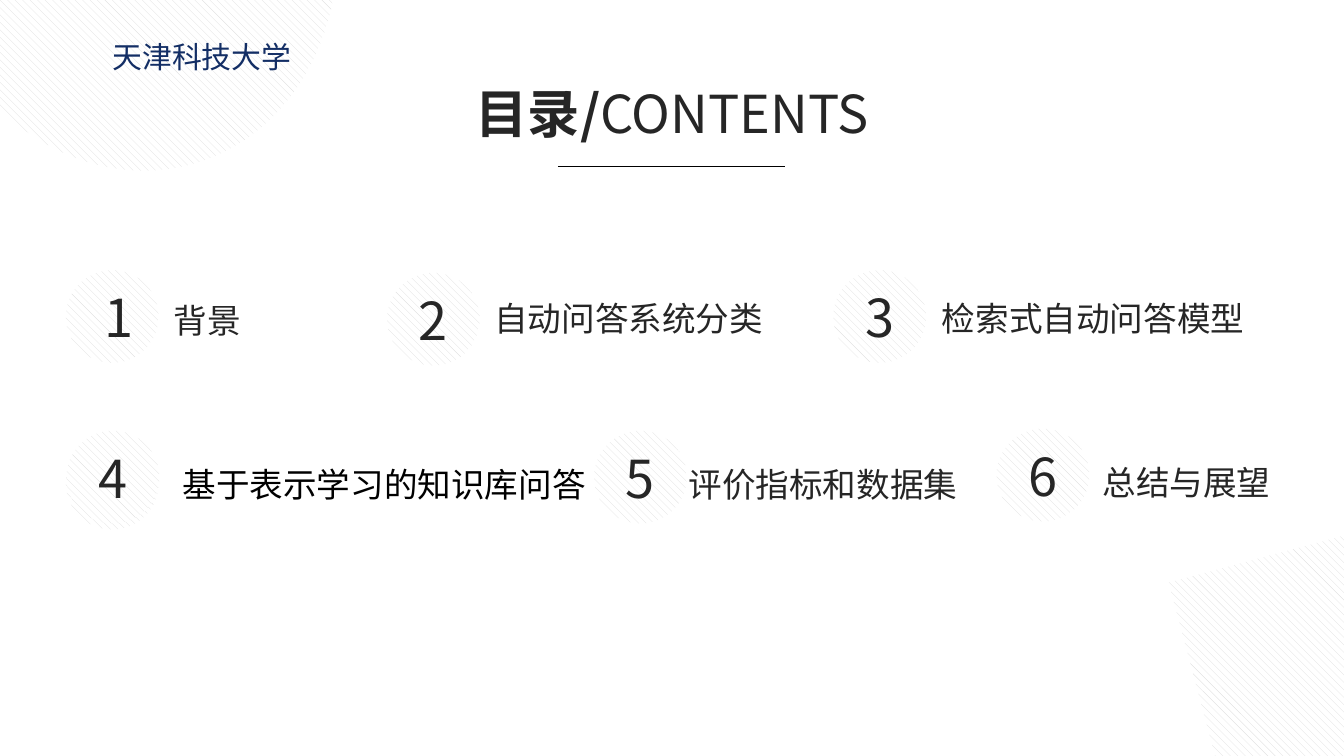
from dataclasses import dataclass

from lxml import etree
from pptx import Presentation
from pptx.dml.color import RGBColor
from pptx.enum.dml import MSO_PATTERN
from pptx.enum.shapes import MSO_CONNECTOR, MSO_SHAPE
from pptx.enum.text import MSO_AUTO_SIZE, PP_ALIGN
from pptx.oxml.ns import qn
from pptx.util import Pt

PX = 4572  # EMU per px, 200 px to the inch
OVAL = MSO_SHAPE.OVAL
WEDGE = MSO_SHAPE.RIGHT_TRIANGLE
HATCH = MSO_PATTERN.WIDE_DOWNWARD_DIAGONAL
LINE = MSO_CONNECTOR.STRAIGHT
LEFT, MID = PP_ALIGN.LEFT, PP_ALIGN.CENTER
GROW = MSO_AUTO_SIZE.SHAPE_TO_FIT_TEXT
DISC = 138


@dataclass(frozen=True)
class Theme:
    font: str = "Noto Sans CJK SC"
    plain: str = "Arial"
    ink: str = "262626"
    black: str = "000000"
    navy: str = "132E65"
    hatch: str = "DDDDDD"
    paper: str = "FFFFFF"
    big: int = 28
    body: int = 18
    small: int = 16


class Deck:
    def __init__(self, theme, wide, high):
        self.theme = theme
        self.prs = Presentation()
        self.prs.slide_width, self.prs.slide_height = wide * PX, high * PX
        self.slide = self.prs.slides.add_slide(self.prs.slide_layouts[6])

    def patch(self, kind, x, y, w, h, turn=0):
        """Hatched shape without an outline."""
        shape = self.slide.shapes.add_shape(kind, x * PX, y * PX, w * PX, h * PX)
        shape.shadow.inherit = False
        shape.rotation = turn
        shape.line.fill.background()
        shape.fill.patterned()
        shape.fill.pattern = HATCH
        shape.fill.fore_color.rgb = RGBColor.from_string(self.theme.hatch)
        shape.fill.back_color.rgb = RGBColor.from_string(self.theme.paper)

    def text(self, runs, x, y, w, h, size, color=None, font=None, align=LEFT, wrap=False):
        """Text box with one paragraph; runs are (words, bold) pairs."""
        box = self.slide.shapes.add_textbox(x * PX, y * PX, w * PX, h * PX)
        frame = box.text_frame
        frame.word_wrap = wrap
        frame.auto_size = GROW
        para = frame.paragraphs[0]
        para.alignment = align
        para.font.size = Pt(size)
        para.font.color.rgb = RGBColor.from_string(color or self.theme.ink)
        para.font.name = font or self.theme.font
        # East Asian letters take their own typeface
        base = para._p.pPr.find(qn("a:defRPr"))
        etree.SubElement(base, qn("a:ea")).set("typeface", self.theme.font)
        for words, bold in runs:
            run = para.add_run()
            run.text = words
            if bold:
                run.font.bold = True

    def rule(self, x, y, end, color, width):
        """Level line."""
        line = self.slide.shapes.add_connector(LINE, x * PX, y * PX, end * PX, y * PX)
        line.line.color.rgb = RGBColor.from_string(color)
        line.line.width = Pt(width)
        etree.SubElement(line._element.spPr, qn("a:effectLst"))

    def badge(self, num, x, y, inset):
        """Number on a hatched disc."""
        self.patch(OVAL, x, y, DISC, DISC)
        self.text([(num, False)], x + inset, y + 13, DISC - 2 * inset, 114,
                  self.theme.big, align=MID)

    def save(self):
        self.prs.save("out.pptx")


def main():
    theme = Theme()
    deck = Deck(theme, 2000, 1125)

    # Corner shapes
    deck.patch(WEDGE, 1772, 824, 714, 616, 75)
    deck.patch(OVAL, -166, -408, 714, 616, 75)

    # School name and title
    deck.text([("天津科技大学", False)], 148, 48, 316, 74, theme.small, theme.navy, wrap=True)
    deck.text([("目录/", True), ("CONTENTS", False)], 678, 111, 644, 114,
              theme.big, align=MID, wrap=True)
    deck.rule(830, 248, 1168, theme.black, 0.5)

    # Second disc under number 4
    deck.patch(OVAL, 98, 650, DISC, DISC)

    # Topics: disc x, y, number inset, label, label x, y, width, colour, font
    topics = [
        (98, 402, 38, "背景", 239, 436, 142, theme.ink, theme.font),
        (576, 406, 24, "自动问答系统分类", 716, 434, 444, theme.ink, theme.font),
        (1240, 402, 24, "检索式自动问答模型", 1382, 434, 494, theme.ink, theme.font),
        (99, 641, 24, "基于表示学习的知识库问答", 252, 680, 646, theme.black, theme.plain),
        (884, 641, 24, "评价指标和数据集", 1005, 680, 446, theme.ink, theme.font),
        (1483, 638, 24, "总结与展望", 1621, 678, 292, theme.ink, theme.font),
    ]
    for num, (x, y, inset, label, left, top, wide, color, font) in enumerate(topics, 1):
        deck.badge(str(num), x, y, inset)
        deck.text([(label, False)], left, top, wide, 80, theme.body, color, font)

    deck.save()


if __name__ == "__main__":
    main()
